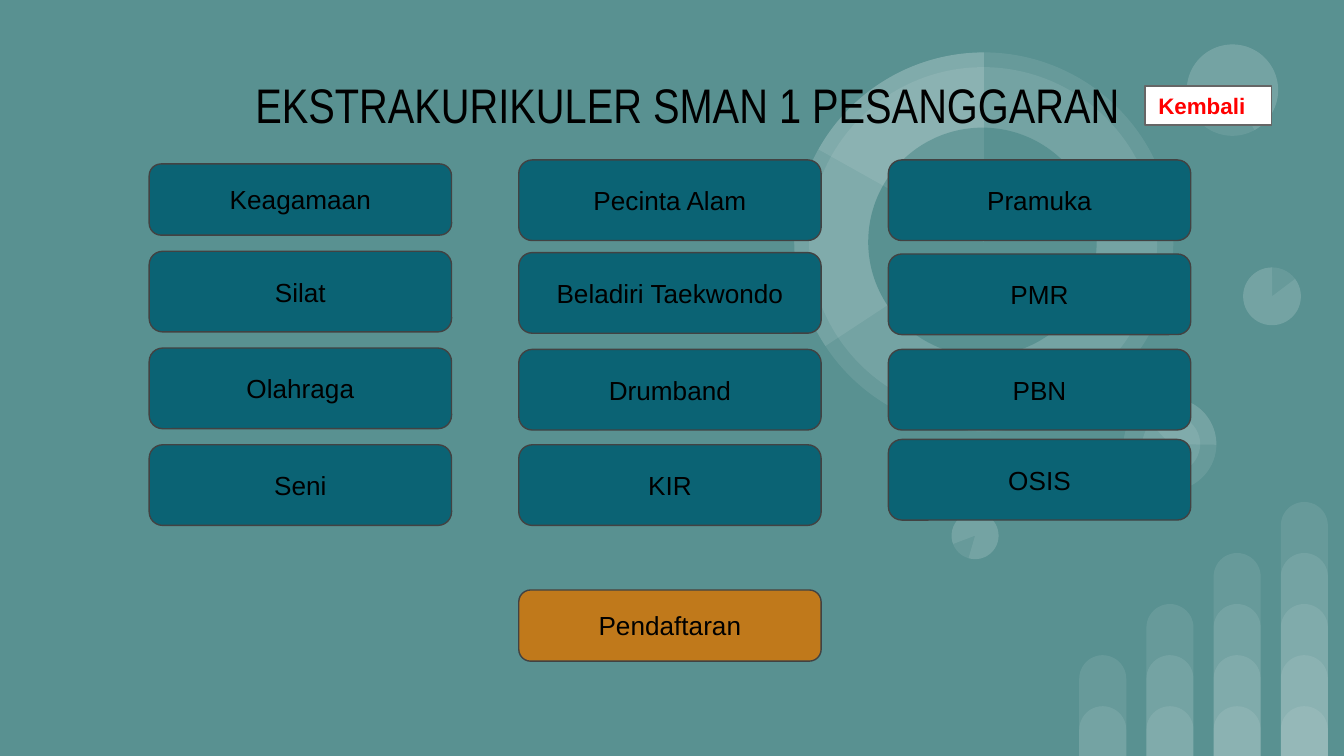
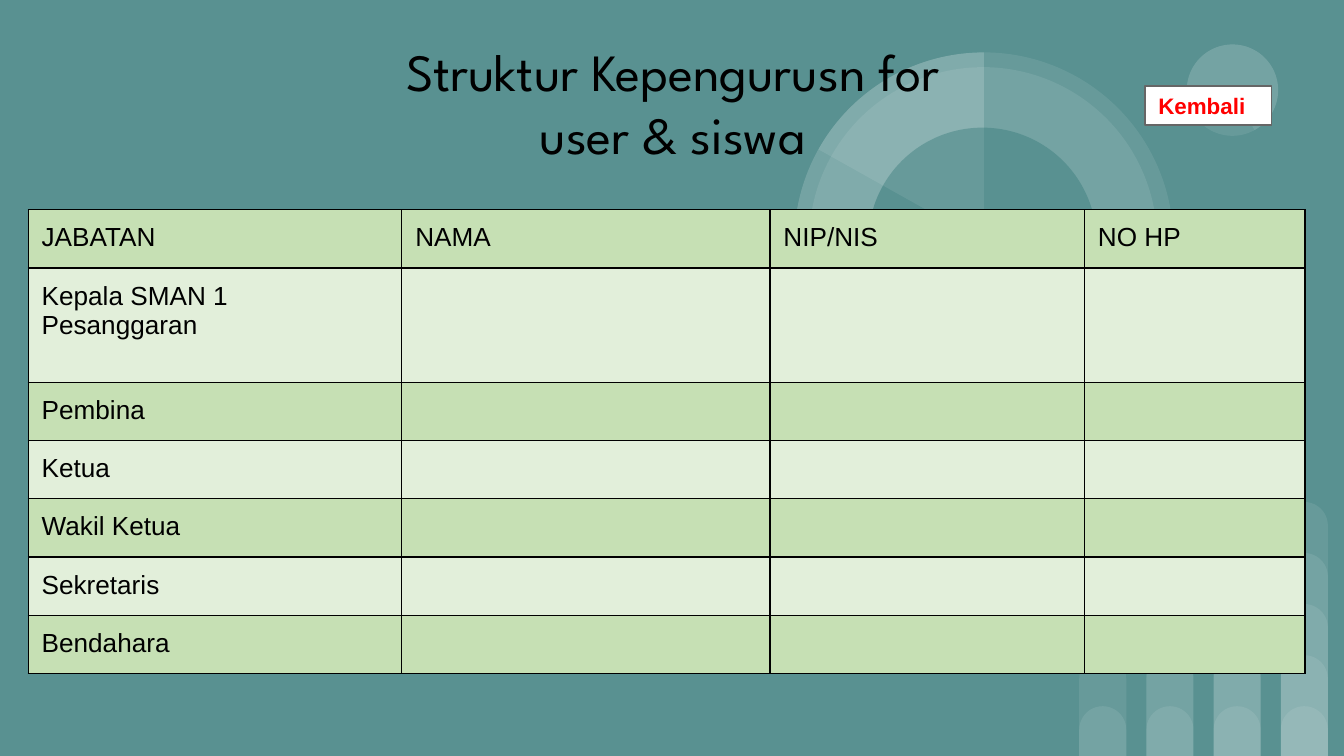
from pptx import Presentation
from pptx.dml.color import RGBColor
from pptx.enum.shapes import MSO_SHAPE
from pptx.enum.text import MSO_ANCHOR, MSO_AUTO_SIZE, PP_ALIGN
from pptx.oxml import parse_xml
from pptx.oxml.ns import nsdecls
from pptx.util import Inches, Pt

COLORS = {
    "background": "599191",
    "white": "FFFFFF",
    "black": "000000",
    "button": "0B6374",
    "register": "C0791B",
    "button_line": "424242",
    "back_line": "666666",
    "back_text": "FF0000",
    "row_dark": "C6E0B4",
    "row_light": "E2EFDA",
}
SLIDE_W = 10
SLIDE_H = SLIDE_W * 9 / 16
MARGIN = Inches(0.1)
BUTTON_W, BUTTON_H, SHORT_H = 2.25, 0.6, 0.53
COLUMN_LEFT, COLUMN_STEP = 1.11, 2.75

# One list per column: label, top, height
ACTIVITIES = [
    [("Keagamaan", 1.22, SHORT_H), ("Silat", 1.87, BUTTON_H),
     ("Olahraga", 2.59, BUTTON_H), ("Seni", 3.31, BUTTON_H)],
    [("Pecinta Alam", 1.19, BUTTON_H), ("Beladiri Taekwondo", 1.88, BUTTON_H),
     ("Drumband", 2.6, BUTTON_H), ("KIR", 3.31, BUTTON_H)],
    [("Pramuka", 1.19, BUTTON_H), ("PMR", 1.89, BUTTON_H),
     ("PBN", 2.6, BUTTON_H), ("OSIS", 3.27, BUTTON_H)],
]
HEADERS = ["JABATAN", "NAMA", "NIP/NIS", "NO HP"]
POSITIONS = ["Kepala SMAN 1 Pesanggaran", "Pembina", "Ketua",
             "Wakil Ketua", "Sekretaris", "Bendahara"]
COLUMN_WIDTHS = [2.78, 2.74, 2.34, 1.64]
ROW_H, TALL_ROW_H = 0.32, 0.85

# Left, top, diameter, rotation, pie angles (None for a full disc)
DISCS = [
    (9.25, 1.99, 0.43, 0, None),
    (7.08, 3.81, 0.35, 196.2, None),
    (8.36, 2.96, 0.69, 90, None),
    (8.36, 2.96, 0.69, 90, (82.45, 162.46)),
    (8.5, 3.09, 0.43, 90, None),
    (9.25, 1.99, 0.43, 0, (193.77, 162)),
    (8.83, 0.33, 0.68, 215.9, None),
    (8.83, 0.33, 0.68, 215.9, (193.77, 123.14)),
    (5.91, 0.39, 2.82, 0, None),
    (6.02, 0.5, 2.59, 34.1, None),
    (5.91, 0.39, 2.82, 0, (88.01, 162)),
]
RING_HOLE = (6.46, 0.95, 1.7, 34.1, None)
DISCS_ABOVE_HOLE = [
    (5.91, 0.39, 2.82, 0, (125.54, 162)),
    (7.08, 3.81, 0.35, 196.2, (193.77, 162)),
]


def rgb(name):
    return RGBColor.from_string(COLORS[name])


def add_run(p, text, size, font="Arial", color="black", bold=False):
    r = p.add_run()
    r.text = text
    r.font.size = Pt(size)
    r.font.name = font
    r.font.bold = bold
    r.font.color.rgb = rgb(color)


def set_margins(box):
    box.margin_left = box.margin_right = MARGIN
    box.margin_top = box.margin_bottom = MARGIN


def add_filled(s, kind, left, top, width, height, fill, line=None):
    sp = s.shapes.add_shape(kind, Inches(left), Inches(top),
                            Inches(width), Inches(height))
    sp.shadow.inherit = False
    sp.fill.solid()
    sp.fill.fore_color.rgb = rgb(fill)
    if line:
        sp.line.color.rgb = rgb(line)
        sp.line.width = Pt(0.75)
    else:
        sp.line.fill.background()
    return sp


def make_translucent(sp, percent=9):
    color = sp.element.spPr.find(".//{*}srgbClr")
    color.append(parse_xml(f'<a:alpha {nsdecls("a")} val="{percent * 1000}"/>'))


def add_disc(s, left, top, size, rotation, angles, fill="white"):
    kind = MSO_SHAPE.PIE if angles else MSO_SHAPE.OVAL
    sp = add_filled(s, kind, left, top, size, size, fill)
    sp.rotation = rotation
    for i, angle in enumerate(angles or ()):
        sp.adjustments[i] = angle
    if fill == "white":
        make_translucent(sp)
    return sp


def add_bars(s):
    """Four columns of overlapping bars, each one step taller than the last."""
    bars = []
    for column in range(4):
        for level in range(column + 2):
            height = 0.37 + 0.38 * level
            sp = add_filled(s, MSO_SHAPE.ROUND_2_SAME_RECTANGLE,
                            8.03 + 0.5 * column, SLIDE_H - height, 0.35, height, "white")
            sp.adjustments[0] = 0.5
            make_translucent(sp)
            bars.append(sp)
    return bars


def decorate_layout(layout, s):
    """Draw the shared decoration on s, then move it to the layout."""
    layout.background.fill.solid()
    layout.background.fill.fore_color.rgb = rgb("background")
    shapes = add_bars(s)
    shapes += [add_disc(s, *disc) for disc in DISCS]
    shapes.append(add_disc(s, *RING_HOLE, fill="background"))
    shapes += [add_disc(s, *disc) for disc in DISCS_ABOVE_HOLE]
    for sp in shapes:
        layout.shapes.element.append(sp.element)


def set_title(s, text, box, size, font, align):
    sp = s.shapes.title
    sp.left, sp.top, sp.width, sp.height = [Inches(v) for v in box]
    tf = sp.text_frame
    tf.word_wrap = True
    tf.auto_size = MSO_AUTO_SIZE.SHAPE_TO_FIT_TEXT
    tf.vertical_anchor = MSO_ANCHOR.TOP
    set_margins(tf)
    p = tf.paragraphs[0]
    p.alignment = align
    add_run(p, text, size, font)


def label_shape(sp, text, align, **style):
    tf = sp.text_frame
    tf.word_wrap = True
    tf.vertical_anchor = MSO_ANCHOR.MIDDLE
    set_margins(tf)
    p = tf.paragraphs[0]
    p.alignment = align
    add_run(p, text, **style)


def add_button(s, text, column, top, height, fill="button"):
    sp = add_filled(s, MSO_SHAPE.ROUNDED_RECTANGLE, COLUMN_LEFT + COLUMN_STEP * column,
                    top, BUTTON_W, height, fill, "button_line")
    label_shape(sp, text, PP_ALIGN.CENTER, size=14)


def add_back_button(s):
    sp = add_filled(s, MSO_SHAPE.RECTANGLE, 8.52, 0.64, 0.94, 0.29, "white", "back_line")
    label_shape(sp, "Kembali", PP_ALIGN.LEFT, size=12, color="back_text", bold=True)


def set_borders(cell):
    tcPr = cell._tc.get_or_add_tcPr()
    for side in ("lnL", "lnR", "lnT", "lnB"):
        tcPr.append(parse_xml(
            f'<a:{side} {nsdecls("a")} w="{Pt(0.75)}"><a:solidFill>'
            f'<a:srgbClr val="{COLORS["black"]}"/></a:solidFill></a:{side}>'))


def add_position_table(s):
    rows = [HEADERS] + [[name, "", "", ""] for name in POSITIONS]
    heights = [ROW_H, TALL_ROW_H] + [ROW_H] * (len(rows) - 2)
    table = s.shapes.add_table(len(rows), len(HEADERS), Inches(0.21), Inches(1.56),
                               Inches(sum(COLUMN_WIDTHS)), Inches(sum(heights))).table
    table.first_row = table.horz_banding = False
    for column, width in zip(table.columns, COLUMN_WIDTHS):
        column.width = Inches(width)
    for i, (texts, height) in enumerate(zip(rows, heights)):
        table.rows[i].height = Inches(height)
        for j, text in enumerate(texts):
            cell = table.cell(i, j)
            set_borders(cell)
            cell.fill.solid()
            cell.fill.fore_color.rgb = rgb("row_light" if i % 2 else "row_dark")
            if text:
                set_margins(cell)
                add_run(cell.text_frame.paragraphs[0], text, 14)


def build_activities(s):
    set_title(s, "EKSTRAKURIKULER SMAN 1 PESANGGARAN", (1.8, 0.46, 6.76, 0.64),
              26, "Arial Narrow", PP_ALIGN.LEFT)
    for column, buttons in enumerate(ACTIVITIES):
        for text, top, height in buttons:
            add_button(s, text, column, top, height)
    add_button(s, "Pendaftaran", 1, 4.39, SHORT_H, "register")
    add_back_button(s)


def build_structure(s):
    set_title(s, "Struktur Kepengurusn for user & siswa", (2.62, 0.19, 4.77, 1.14),
              28, "League Spartan", PP_ALIGN.CENTER)
    add_position_table(s)
    add_back_button(s)


def main():
    prs = Presentation()
    prs.slide_width, prs.slide_height = Inches(SLIDE_W), Inches(SLIDE_H)
    layout = prs.slide_layouts[5]
    activities = prs.slides.add_slide(layout)
    decorate_layout(layout, activities)
    build_activities(activities)
    build_structure(prs.slides.add_slide(layout))
    prs.save("out.pptx")


if __name__ == "__main__":
    main()
